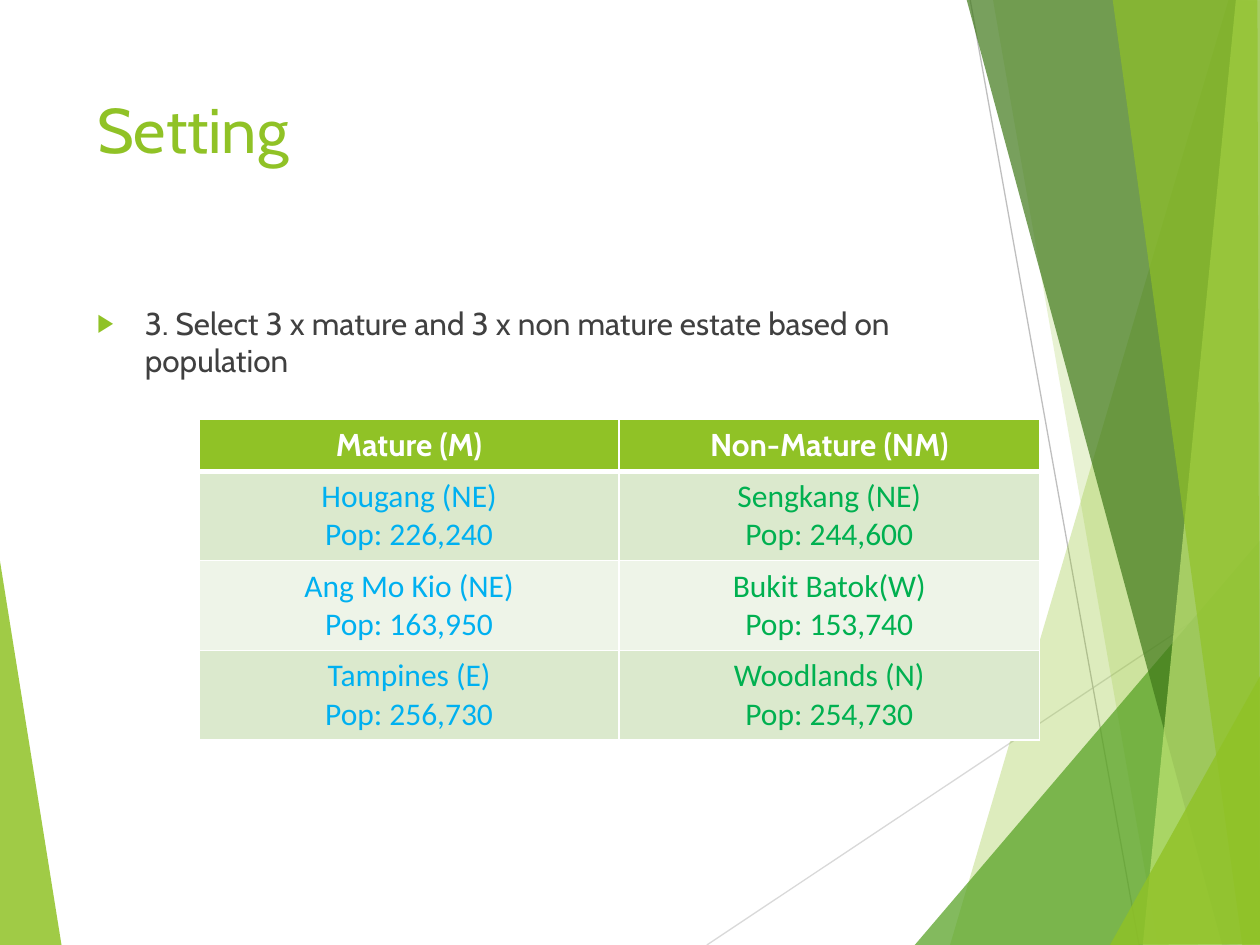
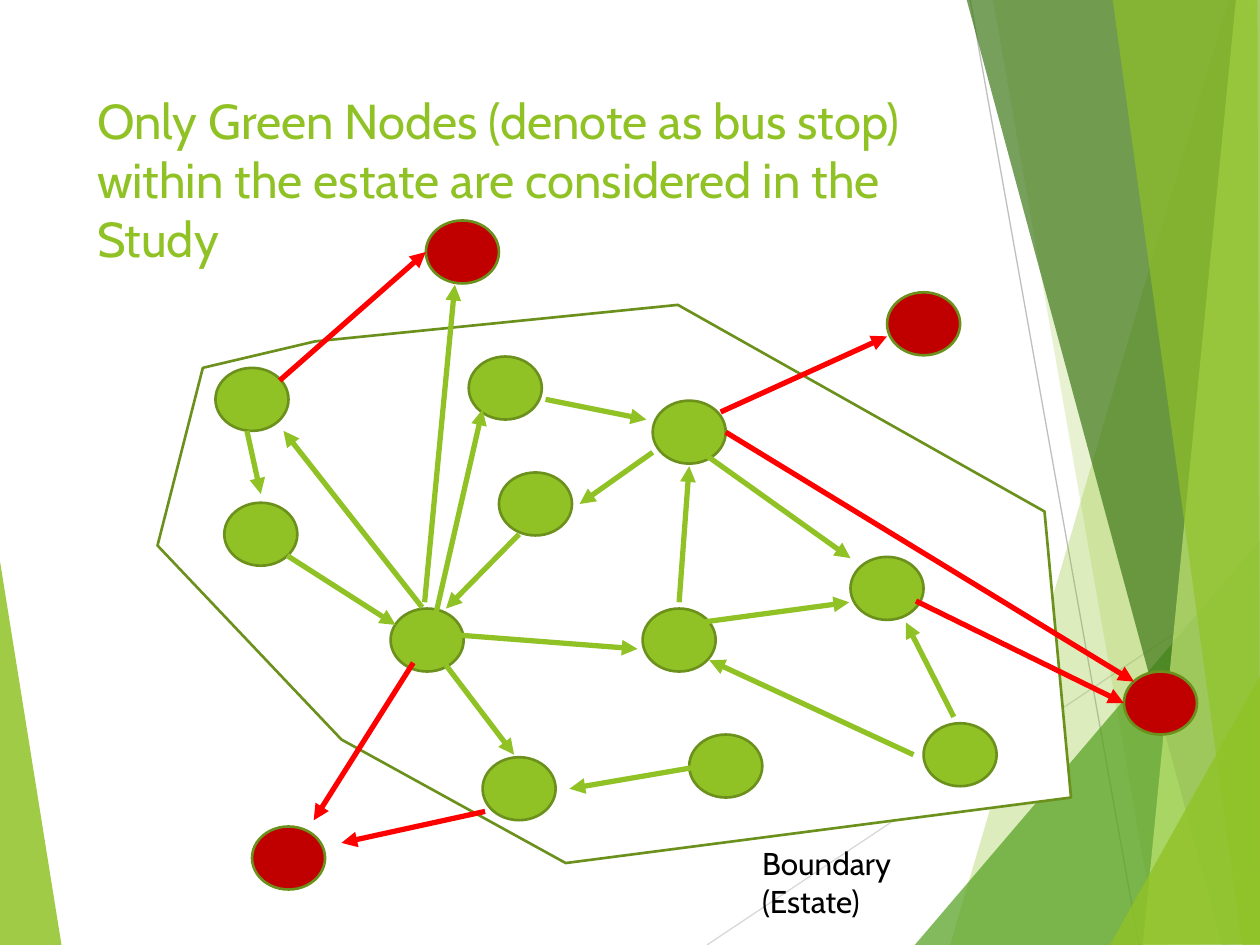
from typing import NamedTuple, Optional

from lxml.etree import SubElement
from pptx import Presentation
from pptx.dml.color import RGBColor
from pptx.enum.shapes import MSO_CONNECTOR as Connector, MSO_SHAPE as Preset
from pptx.enum.text import MSO_ANCHOR as Anchor, MSO_AUTO_SIZE as AutoSize, PP_ALIGN as Align
from pptx.oxml.ns import qn
from pptx.util import Inches, Pt

# Shared look
HEADING_FONT, TABLE_FONT = "Cabin", "Calibri"
GREEN, DARK_GREEN, WHITE, BLACK = "90C226", "6B901C", "FFFFFF", "000000"
BODY_GREY, OUTSIDE_RED, ARROW_RED = "404040", "C00000", "FF0000"
MATURE_BLUE, NON_MATURE_GREEN = "00B0F0", "00B050"
BAND_DARK, BAND_LIGHT = "DBE9CD", "EEF4E8"
NODE_WIDTH, NODE_HEIGHT = 0.58, 0.5


class Facet(NamedTuple):
    points: list[tuple[float, float]]
    color: str
    opacity: Optional[int] = None
    outline: Optional[str] = None


class Stroke(NamedTuple):
    x1: float
    y1: float
    x2: float
    y2: float
    color: str = GREEN
    width: float = 3
    arrow: bool = True


class Node(NamedTuple):
    left: float
    top: float
    color: str = GREEN


class Estate(NamedTuple):
    name: str
    population: str


LEFT_FACET = Facet([(-0.01, 4.39), (0.49, 7.51), (-0.01, 7.5)], GREEN, 85)
BACKDROP_LINES = [
    Stroke(5.61, 7.5, 10.01, 4.57, "D9D9D9", 0.75, False),
    Stroke(7.7, 0, 9.04, 7.5, "BFBFBF", 0.75, False),
]
RIGHT_FACETS = [
    Facet([(9.75, 0), (7.54, 7.5), (10.02, 7.51), (10.01, 0.01)], GREEN, 30),
    Facet([(7.88, -0.01), (9.19, 7.5), (10.01, 7.5), (10.01, -0.01)], GREEN, 20),
    Facet([(7.26, 7.5), (10, 4.29), (10.01, 7.5)], "54A021", 72),
    Facet([(7.67, -0.01), (9.7, 7.5), (10.01, 7.49), (10.01, -0.01)], "3F7819", 70),
    Facet([(9.81, -0.01), (9.07, 7.5), (10.01, 7.5), (10, -0.01)], "C0E474", 70),
    Facet([(8.83, -0.01), (9.86, 7.5), (10, 7.5), (9.98, -0.01)], GREEN, 65),
    Facet([(8.81, 7.5), (10.01, 5.35), (10.01, 7.49)], GREEN, 80),
]

# Estates chosen, one (mature, non-mature) pair a row
ESTATE_TYPES = ["Mature (M)", "Non-Mature (NM)"]
ESTATE_PAIRS = [
    (Estate("Hougang (NE)", "226,240"), Estate("Sengkang (NE)", "244,600")),
    (Estate("Ang Mo Kio (NE)", "163,950"), Estate("Bukit Batok(W)", "153,740")),
    (Estate("Tampines (E)", "256,730"), Estate("Woodlands (N)", "254,730")),
]

# Bus stop network
BOUNDARY = Facet(
    [(2.5, 2.71), (5.38, 2.42), (8.29, 4.06), (8.5, 6.33),
     (4.49, 6.85), (2.71, 5.87), (1.25, 4.33), (1.61, 2.92)],
    WHITE, outline=DARK_GREEN)
BUS_STOPS = [
    Node(3.1, 4.83), Node(3.72, 2.83), Node(5.1, 4.83), Node(6.75, 4.42),
    Node(5.47, 5.83), Node(3.96, 3.75), Node(5.18, 3.18), Node(3.83, 6.01),
    Node(7.33, 5.74), Node(1.71, 2.92), Node(1.78, 3.99),
    Node(2, 6.56, OUTSIDE_RED), Node(7.04, 2.32, OUTSIDE_RED),
    Node(8.92, 5.33, OUTSIDE_RED), Node(3.38, 1.75, OUTSIDE_RED),
]
ROUTES = [
    Stroke(4.33, 3.17, 5.13, 3.33),
    Stroke(5.18, 3.59, 4.6, 4),
    Stroke(4.12, 4.24, 3.54, 4.83),
    Stroke(3.28, 5.26, 2.49, 6.51, ARROW_RED),
    Stroke(3.54, 5.28, 4.08, 5.99),
    Stroke(2.28, 4.41, 3.14, 4.96),
    Stroke(3.35, 4.82, 2.25, 3.42),
    Stroke(3.46, 4.87, 3.83, 3.25),
    Stroke(3.63, 5.04, 5.06, 5.15),
    Stroke(5.39, 4.78, 5.47, 3.7),
    Stroke(5.56, 4.94, 6.74, 4.78),
    Stroke(7.57, 5.69, 7.19, 4.94),
    Stroke(7.25, 5.99, 5.63, 5.24),
    Stroke(5.57, 6.08, 4.52, 6.26),
    Stroke(3.85, 6.44, 2.71, 6.69, ARROW_RED),
    Stroke(3.37, 4.78, 3.61, 2.26),
    Stroke(5.72, 3.27, 7.04, 2.67, ARROW_RED),
    Stroke(5.76, 3.43, 9, 5.41, ARROW_RED),
    Stroke(5.6, 3.61, 6.75, 4.43),
    Stroke(7.27, 4.77, 8.92, 5.58, ARROW_RED),
    Stroke(2.22, 3.02, 3.38, 2, ARROW_RED),
    Stroke(1.96, 3.42, 2.07, 3.92),
]


def rgb(color: str) -> RGBColor:
    return RGBColor.from_string(color)


def paint(shape, color: str, outline: Optional[str] = None) -> None:
    shape.shadow.inherit = False
    shape.fill.solid()
    shape.fill.fore_color.rgb = rgb(color)
    if outline:
        shape.line.color.rgb = rgb(outline)
        shape.line.width = Pt(1.5)
    else:
        shape.line.fill.background()


def draw_facet(slide, facet: Facet) -> None:
    start, *rest = [(Inches(x), Inches(y)) for x, y in facet.points]
    builder = slide.shapes.build_freeform(*start)
    builder.add_line_segments(rest, close=True)
    shape = builder.convert_to_shape()
    paint(shape, facet.color, facet.outline)
    if facet.opacity:
        tint = shape.element.spPr.find(qn("a:solidFill"))[0]
        SubElement(tint, qn("a:alpha"), val=str(facet.opacity * 1000))


def draw_stroke(slide, stroke: Stroke) -> None:
    ends = [Inches(value) for value in stroke[:4]]
    connector = slide.shapes.add_connector(Connector.STRAIGHT, *ends)
    connector.line.color.rgb = rgb(stroke.color)
    connector.line.width = Pt(stroke.width)
    properties = connector.element.spPr
    if stroke.arrow:
        SubElement(properties.find(qn("a:ln")), qn("a:tailEnd"), type="triangle")
    SubElement(properties, qn("a:effectLst"))


def draw_node(slide, node: Node) -> None:
    ellipse = slide.shapes.add_shape(
        Preset.OVAL, Inches(node.left), Inches(node.top),
        Inches(NODE_WIDTH), Inches(NODE_HEIGHT))
    paint(ellipse, node.color, DARK_GREEN)


def add_run(paragraph, text: str, size: float, color: str,
            font: str = HEADING_FONT, bold: bool = False) -> None:
    run = paragraph.add_run()
    run.text = text
    run.font.size = Pt(size)
    run.font.name = font
    run.font.bold = bold
    run.font.color.rgb = rgb(color)


def place(placeholder, top: float, height: float):
    """Move a placeholder into the text column and return its first paragraph."""
    placeholder.left, placeholder.top = Inches(0.67), Inches(top)
    placeholder.width, placeholder.height = Inches(6.94), Inches(height)
    frame = placeholder.text_frame
    frame.word_wrap = True
    frame.auto_size = AutoSize.NONE
    frame.vertical_anchor = Anchor.TOP
    paragraph = frame.paragraphs[0]
    paragraph.alignment = Align.LEFT
    return paragraph


def start_slide(deck, layout: int, title: str, size: float):
    slide = deck.slides.add_slide(deck.slide_layouts[layout])
    draw_facet(slide, LEFT_FACET)
    for line in BACKDROP_LINES:
        draw_stroke(slide, line)
    for facet in RIGHT_FACETS:
        draw_facet(slide, facet)
    add_run(place(slide.shapes.title, 0.67, 1.44), title, size, GREEN)
    return slide


def add_bullet(paragraph) -> None:
    properties = paragraph._p.get_or_add_pPr()
    properties.set("marL", str(Inches(0.38)))
    properties.set("indent", str(-Inches(0.38)))
    bullet_color = SubElement(properties, qn("a:buClr"))
    SubElement(bullet_color, qn("a:srgbClr"), val=GREEN)
    SubElement(properties, qn("a:buSzPct"), val="80000")
    SubElement(properties, qn("a:buChar"), char="▶")


def style_cell(cell, fill: str, top: float = 1, bottom: float = 1) -> None:
    properties = cell._tc.get_or_add_tcPr()
    for side, width in {"L": 1, "R": 1, "T": top, "B": bottom}.items():
        border = SubElement(properties, qn(f"a:ln{side}"), w=str(Pt(width)))
        border_fill = SubElement(border, qn("a:solidFill"))
        SubElement(border_fill, qn("a:srgbClr"), val=WHITE)
    cell.fill.solid()
    cell.fill.fore_color.rgb = rgb(fill)


def add_estate_table(slide) -> None:
    frame = slide.shapes.add_table(
        len(ESTATE_PAIRS) + 1, len(ESTATE_TYPES),
        Inches(1.58), Inches(3.33), Inches(6.67), Inches(2.54))
    table = frame.table
    table.rows[0].height = Inches(0.41)
    for column, estate_type in enumerate(ESTATE_TYPES):
        header = table.cell(0, column)
        style_cell(header, GREEN, bottom=3)
        paragraph = header.text_frame.paragraphs[0]
        paragraph.alignment = Align.CENTER
        add_run(paragraph, estate_type, 18, WHITE, bold=True)
    for row, pair in enumerate(ESTATE_PAIRS, start=1):
        table.rows[row].height = Inches(0.71)
        for column, estate in enumerate(pair):
            cell = table.cell(row, column)
            style_cell(cell, BAND_DARK if row % 2 else BAND_LIGHT, top=3 if row == 1 else 1)
            color = (MATURE_BLUE, NON_MATURE_GREEN)[column]
            text = cell.text_frame
            lines = [(text.paragraphs[0], estate.name),
                     (text.add_paragraph(), f"Pop: {estate.population}")]
            for paragraph, line in lines:
                paragraph.alignment = Align.CENTER
                add_run(paragraph, line, 18, color, TABLE_FONT)


def build_setting(deck) -> None:
    slide = start_slide(deck, 1, "Setting", 36)
    step = place(slide.placeholders[1], 2.36, 4.24)
    add_bullet(step)
    step.space_before = Pt(0)
    add_run(step, "3. Select 3 x mature and 3 x non mature estate based on population",
            18, BODY_GREY)
    add_estate_table(slide)


def build_network(deck) -> None:
    slide = start_slide(
        deck, 5,
        "Only Green Nodes (denote as bus stop) within the estate are considered in the Study", 28)
    draw_facet(slide, BOUNDARY)
    for stop in BUS_STOPS:
        draw_node(slide, stop)
    for route in ROUTES:
        draw_stroke(slide, route)
    # Boundary label
    label = slide.shapes.add_textbox(Inches(5.95), Inches(6.65), Inches(1.95), Inches(0.4))
    label.text_frame.word_wrap = True
    add_run(label.text_frame.paragraphs[0], "Boundary (Estate)", 18, BLACK)


def main() -> None:
    deck = Presentation()
    deck.slide_width, deck.slide_height = Inches(10), Inches(7.5)
    build_setting(deck)
    build_network(deck)
    deck.save("out.pptx")


if __name__ == "__main__":
    main()
